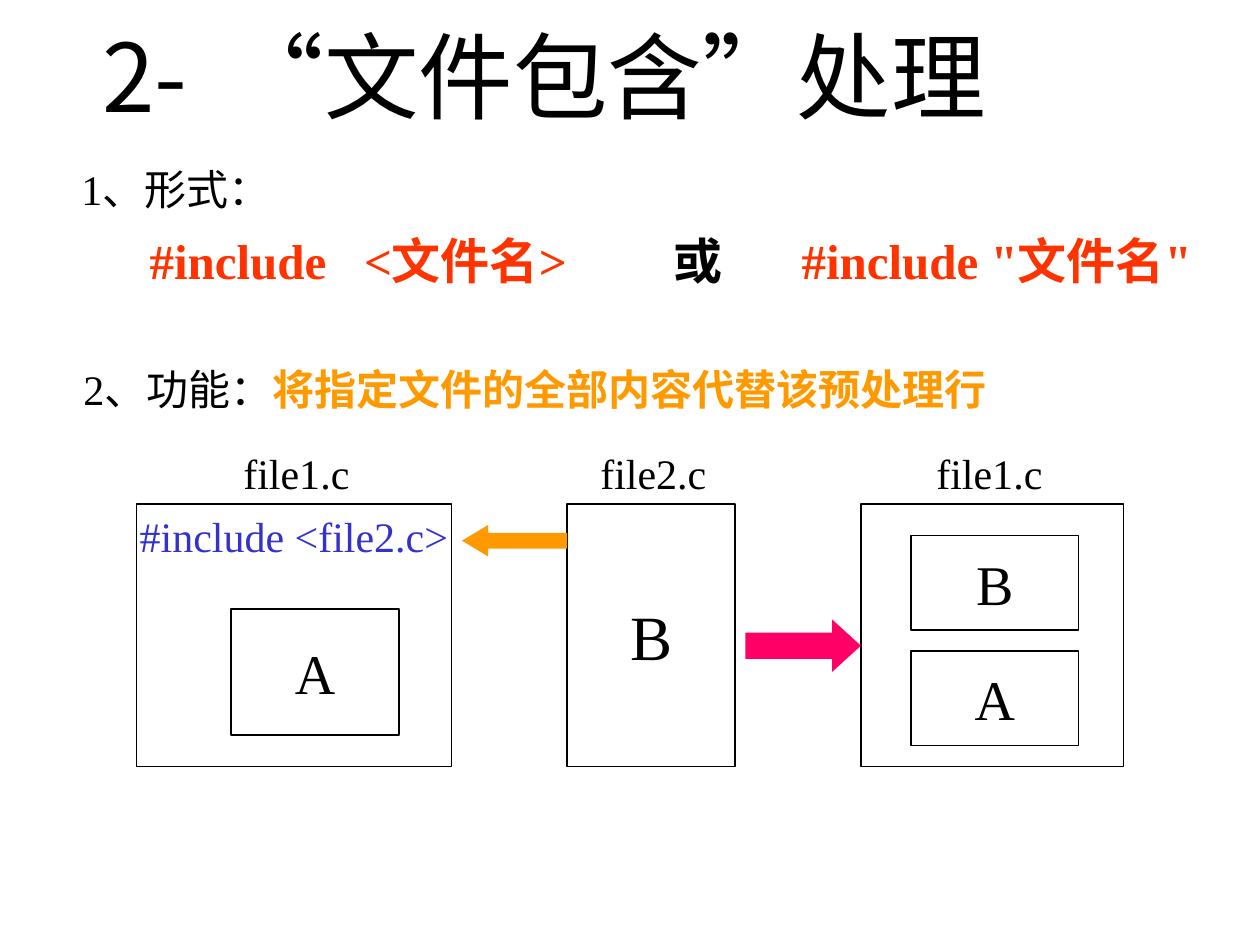
from dataclasses import dataclass

from pptx import Presentation
from pptx.dml.color import RGBColor
from pptx.enum import shapes, text
from pptx.oxml.ns import qn
from pptx.util import Pt
from lxml import etree

BLACK = RGBColor(0x00, 0x00, 0x00)
RED = RGBColor(0xFF, 0x33, 0x00)
ORANGE = RGBColor(0xFF, 0x99, 0x00)
BLUE = RGBColor(0x33, 0x33, 0xCC)
PINK = RGBColor(0xFF, 0x00, 0x66)
SERIF = "Times New Roman"
CJK = "Noto Sans CJK SC"

FILE_TOP, FILE_HEIGHT = 288, 150
LABEL_TOP = 252


@dataclass
class Words:
    content: str
    size: float = 24
    color: RGBColor = BLACK
    bold: bool = False
    face: str = SERIF
    spacing: float = 0


@dataclass
class Box:
    left: float
    top: float
    width: float
    height: float
    words: Words | None = None
    anchor: text.MSO_ANCHOR = text.MSO_ANCHOR.MIDDLE


@dataclass
class SourceFile:
    label: str
    label_left: float
    boxes: list[Box]


@dataclass
class Arrow:
    kind: shapes.MSO_SHAPE
    left: float
    top: float
    width: float
    height: float
    head: float
    color: RGBColor


def add_words(paragraph, words: Words) -> None:
    run = paragraph.add_run()
    run.text = words.content
    font = run.font
    font.size, font.bold, font.name = Pt(words.size), words.bold, words.face
    font.color.rgb = words.color
    properties = run._r.get_or_add_rPr()
    properties.set("lang", "zh-CN")
    if words.spacing:
        properties.set("spc", str(round(words.spacing * 100)))
    # East Asian characters take their own typeface
    east_asian = etree.Element(qn("a:ea"), typeface=CJK)
    properties.find(qn("a:latin")).addnext(east_asian)


def add_line(parent, left: float, top: float, width: float, height: float,
             runs: list[Words], stops: tuple[float, ...] = ()) -> None:
    frame = parent.add_textbox(Pt(left), Pt(top), Pt(width), Pt(height)).text_frame
    frame.word_wrap = False
    frame.auto_size = text.MSO_AUTO_SIZE.SHAPE_TO_FIT_TEXT
    paragraph = frame.paragraphs[0]
    if stops:
        tabs = etree.SubElement(paragraph._p.get_or_add_pPr(), qn("a:tabLst"))
        for stop in stops:
            etree.SubElement(tabs, qn("a:tab"), pos=str(Pt(stop)), algn="l")
    for words in runs:
        add_words(paragraph, words)


def add_box(parent, box: Box) -> None:
    outline = parent.add_shape(shapes.MSO_SHAPE.RECTANGLE, Pt(box.left), Pt(box.top),
                               Pt(box.width), Pt(box.height))
    outline.shadow.inherit = False
    outline.fill.background()
    outline.line.color.rgb = BLACK
    outline.line.width = Pt(0.75)
    if box.words:
        frame = outline.text_frame
        frame.word_wrap = False
        frame.vertical_anchor = box.anchor
        frame.paragraphs[0].alignment = text.PP_ALIGN.CENTER
        add_words(frame.paragraphs[0], box.words)


def add_file(parent, file: SourceFile) -> None:
    group = parent.add_group_shape().shapes
    for box in file.boxes:
        add_box(group, box)
    add_line(group, file.label_left, LABEL_TOP, 75, 36, [Words(file.label)])


def add_arrow(parent, arrow: Arrow) -> None:
    block = parent.add_shape(arrow.kind, Pt(arrow.left), Pt(arrow.top),
                             Pt(arrow.width), Pt(arrow.height))
    block.adjustments[0], block.adjustments[1] = 0.5, arrow.head
    block.shadow.inherit = False
    block.fill.solid()
    block.fill.fore_color.rgb = arrow.color
    block.line.fill.background()


def add_title(slide) -> None:
    title = slide.shapes.title
    title.left, title.top, title.width, title.height = Pt(19.5), Pt(9.5), Pt(583), Pt(66)
    frame = title.text_frame
    frame.auto_size = text.MSO_AUTO_SIZE.NONE
    frame.vertical_anchor = text.MSO_ANCHOR.MIDDLE
    heading = frame.paragraphs[0]
    heading.alignment = text.PP_ALIGN.CENTER
    for words in (Words("2-", 54, face=CJK), Words(" ", 54, face=CJK, spacing=12),
                  Words("“", 54), Words("文件包含", 54, face=CJK),
                  Words("”", 54), Words("处理", 54, face=CJK)):
        add_words(heading, words)


FILES = [
    SourceFile("file1.c", 132, [
        Box(78, FILE_TOP, 180, FILE_HEIGHT, Words("#include <file2.c>", color=BLUE),
            text.MSO_ANCHOR.TOP),
        Box(132, 348, 96, 72, Words("A", 32))]),
    SourceFile("file2.c", 336, [Box(324, FILE_TOP, 96, FILE_HEIGHT, Words("B", 36))]),
    SourceFile("file1.c", 528, [
        Box(492, FILE_TOP, 150, FILE_HEIGHT),
        Box(520.5, 306, 96, 54, Words("B", 32)),
        Box(520.5, 372, 96, 54, Words("A", 32))]),
]
ARROWS = [
    Arrow(shapes.MSO_SHAPE.LEFT_ARROW, 264, 300, 60, 18, 0.83, ORANGE),
    Arrow(shapes.MSO_SHAPE.RIGHT_ARROW, 426, 354, 66, 30, 0.55, PINK),
]


def main() -> None:
    deck = Presentation()
    deck.slide_width, deck.slide_height = Pt(720), Pt(540)
    slide = deck.slides.add_slide(deck.slide_layouts[5])
    add_title(slide)

    # Form and function of the directive
    add_line(slide.shapes, 39.5, 90, 128, 36, [Words("1、形式：")])
    add_line(slide.shapes, 78.5, 128, 623, 41,
             [Words("#include\t<文件名>\t", 28, RED, True),
              Words("或\t", 28, BLACK, True),
              Words("#include \"文件名\"", 28, RED, True)],
             stops=(122.5, 299.5, 372.5))
    add_line(slide.shapes, 40.5, 204, 536, 36,
             [Words("2、功能："),
              Words("将指定文件的全部内容代替该预处理行", color=ORANGE, bold=True)])

    # Files before and after inclusion
    for file in FILES:
        add_file(slide.shapes, file)
    for arrow in ARROWS:
        add_arrow(slide.shapes, arrow)
    deck.save("out.pptx")


if __name__ == "__main__":
    main()
